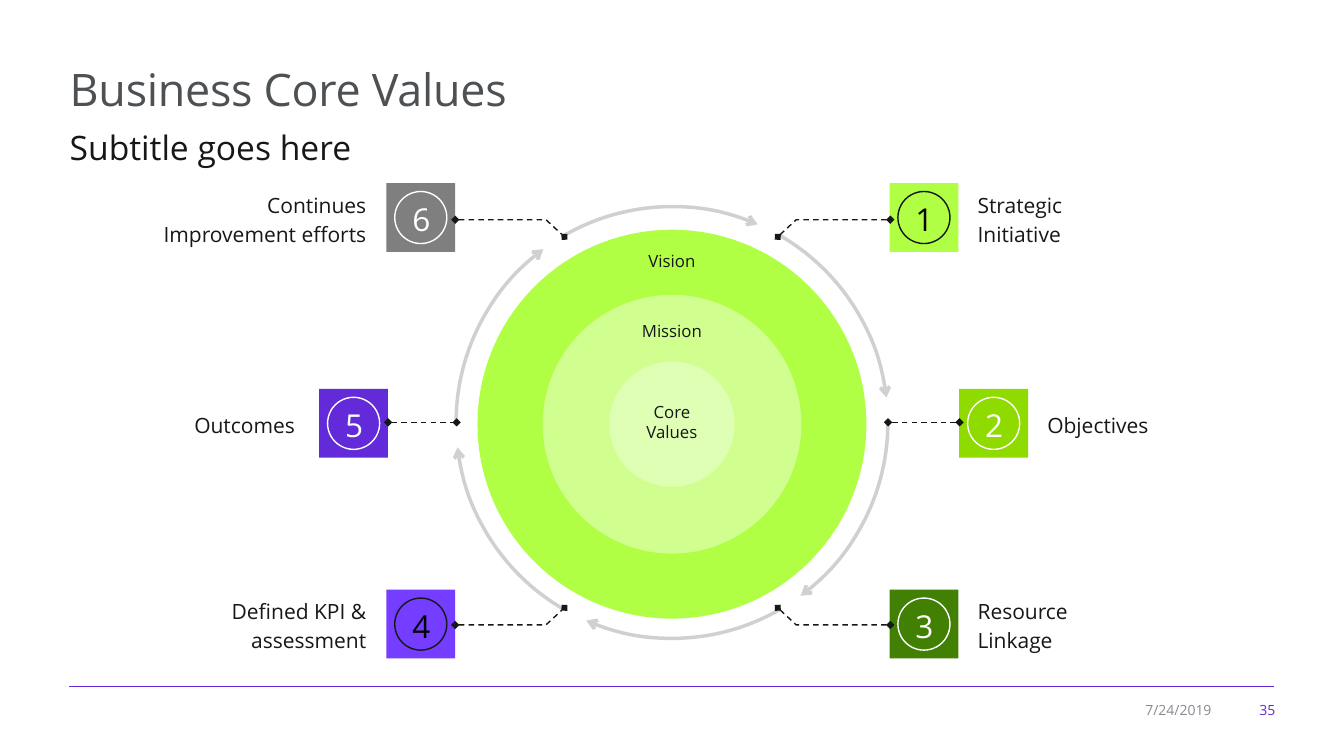
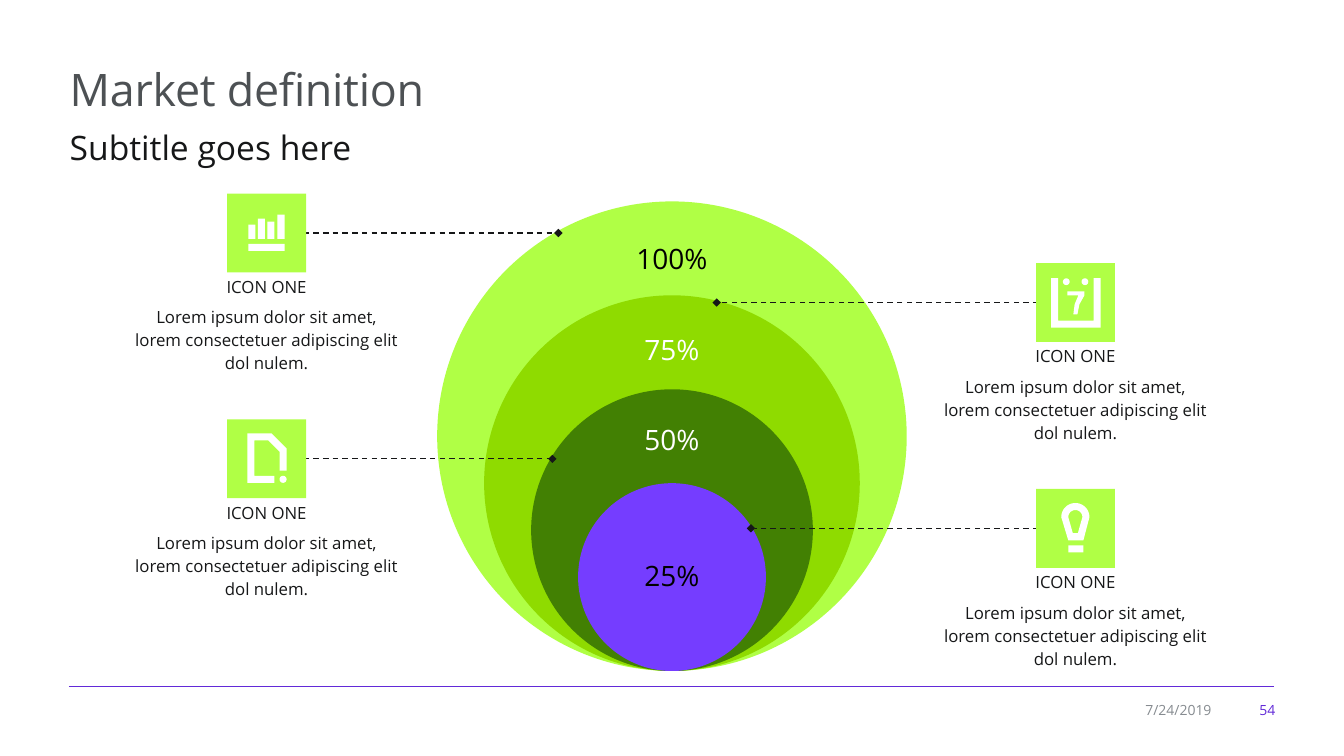
"""Build two circle-diagram slides on a square 160 by 90 grid."""
from dataclasses import dataclass
from math import cos, radians, sin

from lxml import etree
from pptx import Presentation
from pptx.dml.color import RGBColor
from pptx.enum.dml import MSO_LINE
from pptx.enum.shapes import MSO_CONNECTOR, MSO_SHAPE
from pptx.enum.text import MSO_ANCHOR, MSO_AUTO_SIZE, PP_ALIGN
from pptx.oxml.ns import qn
from pptx.util import Inches, Pt

COLS, ROWS = 160, 90
CELL = Inches(7.5) / ROWS
MID = COLS / 2
LEFT, CENTER, RIGHT = PP_ALIGN.LEFT, PP_ALIGN.CENTER, PP_ALIGN.RIGHT
TOP, MIDDLE = MSO_ANCHOR.TOP, MSO_ANCHOR.MIDDLE
RECT, ELLIPSE, ARC = MSO_SHAPE.RECTANGLE, MSO_SHAPE.OVAL, MSO_SHAPE.ARC
STRAIGHT, DASH, NO_FIT = MSO_CONNECTOR.STRAIGHT, MSO_LINE.DASH, MSO_AUTO_SIZE.NONE


@dataclass(frozen=True)
class Theme:
    """Colours, font and type sizes of the deck."""
    font: str = "Open Sans"
    ink: str = "161718"
    heading: str = "4D5154"
    muted: str = "868B90"
    black: str = "000000"
    white: str = "FFFFFF"
    grey: str = "7F7F7F"
    lime: str = "B0FF45"
    lime_soft: str = "D0FF8F"
    lime_pale: str = "DFFFB5"
    green: str = "8FDB00"
    forest: str = "428003"
    violet: str = "753DFF"
    purple: str = "622AD8"
    title: float = 32
    subtitle: float = 24
    number: float = 22.5
    percent: float = 20
    label: float = 15
    small: float = 12
    footer: float = 10


T = Theme()


def grid(*cells):
    """Turn grid cells into slide lengths."""
    return [round(c * CELL) for c in cells]


def arc_points(cx, cy, radius, start=0, end=360, steps=24):
    """List points along a circular arc."""
    angles = [radians(start + (end - start) * i / steps) for i in range(steps + 1)]
    return [(cx + radius * cos(a), cy + radius * sin(a)) for a in angles]


def box_points(x0, y0, x1, y1):
    """List the corners of a box."""
    return [(x0, y0), (x1, y0), (x1, y1), (x0, y1)]


class Deck:
    """Hold the presentation, its style and the current slide."""

    def __init__(self):
        """Open a presentation sized to the grid."""
        self.prs = Presentation()
        self.prs.slide_width, self.prs.slide_height = grid(COLS, ROWS)
        self.shapes = None

    def slide(self, title, subtitle, number, date):
        """Add a slide with heading, rule and footer."""
        s = self.prs.slides.add_slide(self.prs.slide_layouts[1])
        self.shapes = s.shapes
        head, body = s.placeholders
        self.place(head, 7.1, 6.7, 145.9, 7.9)
        r = self.set_text(head.text_frame, [title], T.title, T.heading)
        r.font._element.set("spc", "-20")
        self.place(body, 7.1, 13.7, 144.4, 6.5)
        p_pr = body.text_frame.paragraphs[0]._p.get_or_add_pPr()
        p_pr.set("marL", "0")
        p_pr.set("indent", "0")
        etree.SubElement(p_pr, qn("a:buNone"))
        self.set_text(body.text_frame, [subtitle], T.subtitle, T.ink, spacing=1.17)
        self.line([(8.2, 81.7), (151.7, 81.7)], T.purple, 0.75, dash=None)
        self.text(146.9, 83, 6.1, 3.1, [number], T.footer, T.purple, RIGHT, MIDDLE)
        self.text(134, 83, 11.4, 3.1, [date], T.footer, T.muted, RIGHT, MIDDLE)

    def place(self, sp, x, y, w, h):
        """Move a shape to grid cells."""
        sp.left, sp.top, sp.width, sp.height = grid(x, y, w, h)

    def set_text(self, tf, lines, size, color, align=LEFT, anchor=TOP, spacing=1.0):
        """Fill a text frame, one paragraph per line, and return the last run."""
        tf.word_wrap, tf.auto_size, tf.vertical_anchor = True, NO_FIT, anchor
        for i, line in enumerate(lines):
            p = tf.add_paragraph() if i else tf.paragraphs[0]
            p.alignment, p.line_spacing = align, spacing
            p.space_before = p.space_after = Pt(0)
            for j, part in enumerate(line.split("\n")):
                if j:
                    p.add_line_break()
                r = p.add_run()
                r.text = part
                r.font.name, r.font.size = T.font, Pt(size)
                r.font.color.rgb = RGBColor.from_string(color)
        return r

    def text(self, x, y, w, h, lines, size, color, align=LEFT, anchor=TOP, spacing=1.0):
        """Add a text box."""
        sp = self.shapes.add_textbox(*grid(x, y, w, h))
        self.set_text(sp.text_frame, lines, size, color, align, anchor, spacing)

    def paint(self, sp, fill=None, line=None, width=1):
        """Set fill and outline and drop the shadow."""
        sp.shadow.inherit = False
        if fill:
            sp.fill.solid()
            sp.fill.fore_color.rgb = RGBColor.from_string(fill)
        else:
            sp.fill.background()
        if line:
            self.stroke(sp, line, width)
        else:
            sp.line.fill.background()

    def stroke(self, sp, color, width, dash=None, head=None, tail=None, alpha=None):
        """Style a line with its ends and opacity."""
        sp.line.color.rgb = RGBColor.from_string(color)
        sp.line.width = Pt(width)
        if dash:
            sp.line.dash_style = dash
        ln = sp.element.spPr.find(qn("a:ln"))
        if alpha:
            srgb = ln.find(".//" + qn("a:srgbClr"))
            etree.SubElement(srgb, qn("a:alpha"), val=str(alpha * 1000))
        for tag, kind in (("a:headEnd", head), ("a:tailEnd", tail)):
            if kind:
                etree.SubElement(ln, qn(tag), type=kind)

    def shape(self, kind, cx, cy, size, fill=None, line=None):
        """Add a square-bounded shape around a centre."""
        sp = self.shapes.add_shape(kind, *grid(cx - size / 2, cy - size / 2, size, size))
        self.paint(sp, fill, line)
        return sp

    def arc(self, cx, cy, size, start, sweep):
        """Add a faint arc with an arrowhead."""
        sp = self.shape(ARC, cx, cy, size)
        for i, angle in enumerate((start, start + sweep)):
            sp.adjustments[i] = angle % 360 * 0.6
        self.stroke(sp, T.ink, 2.5, tail="arrow", alpha=20)

    def outline(self, contours, close=True):
        """Add a freeform of one or more contours."""
        first, *rest = [[tuple(grid(*pt)) for pt in c] for c in contours]
        builder = self.shapes.build_freeform(*first[0])
        builder.add_line_segments(first[1:], close=close)
        for contour in rest:
            builder.move_to(*contour[0])
            builder.add_line_segments(contour[1:], close=close)
        return builder.convert_to_shape()

    def line(self, points, color=T.ink, width=1, dash=DASH, head=None, tail=None):
        """Add a straight or bent line through points."""
        if len(points) == 2:
            sp = self.shapes.add_connector(STRAIGHT, *grid(*points[0], *points[1]))
            etree.SubElement(sp.element.spPr, qn("a:effectLst"))
        else:
            sp = self.outline([points], close=False)
            self.paint(sp)
        self.stroke(sp, color, width, dash, head, tail)

    def badge(self, number, cx, cy, fill, ink, ring):
        """Add a square with a ringed number."""
        self.shape(RECT, cx, cy, 8.2, fill)
        sp = self.shape(ELLIPSE, cx, cy, 6.2, line=ring)
        sp.text_frame.margin_top = grid(1)[0]
        self.set_text(sp.text_frame, [number], T.number, ink, CENTER, MIDDLE)

    def callout(self, cx, top, icon, target, heading, body):
        """Add an icon with text and a pointer to a ring."""
        size, width = 9.4, 35.6
        mid = top + size / 2
        edge = cx + (4.4 if target > cx else -4.4)
        self.line([(edge, mid), (target, mid)], tail="diamond")
        self.shape(RECT, cx, mid, size, T.lime)
        left = cx - size / 2
        sp = self.outline([[(left + x, top + y) for x, y in c] for c in icon])
        self.paint(sp, T.white)
        x = cx - width / 2
        self.text(x, top + 9.3, width, 3.6, [heading], T.small, T.ink, CENTER)
        self.text(x, top + 12.6, width, 9.5, [body], T.small, T.ink, CENTER, spacing=1.14)


BARS = [box_points(2.52, 6, 6.84, 6.84)] + [
    box_points(x, y, x + 0.84, 5.4)
    for x, y in ((2.52, 3.72), (3.66, 3), (4.8, 3.36), (6, 2.52))]
PAGE = [
    [(7.08, 3.48), (7.08, 6.12), (6.24, 6.12), (6.24, 3.84), (4.92, 2.52), (3.24, 2.52),
     (3.24, 6.72), (5.64, 6.72), (5.64, 7.56), (2.4, 7.56), (2.4, 1.68), (5.28, 1.68)],
    arc_points(6.66, 7.14, 0.42)]
CALENDAR = [
    [(7.68, 1.8), (7.68, 7.68), (1.8, 7.68), (1.8, 1.8), (2.64, 1.8), (2.64, 6.84),
     (6.84, 6.84), (6.84, 1.8)],
    arc_points(3.6, 2.22, 0.4), arc_points(5.82, 2.22, 0.4),
    [(4.92, 6.12), (5.16, 4.92), (5.76, 3.84), (5.76, 3.36), (3.72, 3.36),
     (3.72, 3.84), (5.04, 3.84), (4.6, 4.9), (4.44, 6.12)]]
BULB = [
    arc_points(4.68, 3.36, 1.68, 180, 360) + [(5.64, 6.12), (3.84, 6.12)],
    arc_points(4.68, 3.36, 0.84, 180, 360) + [(4.98, 5.28), (4.38, 5.28)],
    box_points(3.84, 6.72, 5.64, 7.56)]

SUBTITLE, DATE = "Subtitle goes here", "7/24/2019"
LOREM = "Lorem ipsum dolor sit amet,\nlorem consectetuer adipiscing elit dol nulem."
VALUES = [
    ("6", 50.1, 25.9, T.grey, T.white, T.white, 44.8, ["Continues", "Improvement efforts"]),
    ("5", 42.1, 50.4, T.purple, T.white, T.white, 36.3, ["Outcomes"]),
    ("4", 50.1, 74.3, T.violet, T.black, T.ink, 44.8, ["Defined KPI &", "assessment"]),
    ("1", 110, 25.9, T.lime, T.black, T.ink, 115.2, ["Strategic", "Initiative"]),
    ("2", 118.3, 50.4, T.green, T.white, T.white, 123.5, ["Objectives"]),
    ("3", 110, 74.3, T.forest, T.white, T.white, 115.2, ["Resource", "Linkage"]),
]
CORE = [(46.3, T.lime), (30.8, T.lime_soft), (14.9, T.lime_pale)]
CORE_LABELS = [("Vision", 31.1), ("Mission", 39.4), ("Core\nValues", 50.2)]
POINTERS = [
    [(54.2, 26.16), (65, 26.16), (67.2, 28.2)],
    [(46.2, 50.28), (54.36, 50.28)],
    [(54.2, 74.4), (65, 74.4), (67.2, 72.36)],
    [(106, 26.16), (94.8, 26.16), (92.6, 28.2)],
    [(114.24, 50.28), (105.72, 50.28)],
    [(106, 74.4), (94.8, 74.4), (92.6, 72.36)],
]
MARKETS = [
    ("100%", 1, 31, T.lime, T.black),
    ("75%", 0.8, 41.8, T.green, T.white),
    ("50%", 0.6, 52.6, T.forest, T.white),
    ("25%", 0.4, 68.7, T.violet, T.black),
]
CALLOUTS = [
    (31.74, 23.04, BARS, 66.48), (31.74, 49.92, PAGE, 65.76),
    (128.04, 31.32, CALENDAR, 85.32), (128.04, 58.2, BULB, 89.4),
]


def core_values(deck):
    """Build the core values slide."""
    deck.slide("Business Core Values", SUBTITLE, "35", DATE)
    for number, cx, cy, fill, ink, ring, edge, lines in VALUES:
        deck.badge(number, cx, cy, fill, ink, ring)
        x, align = (edge - 36, RIGHT) if cx < MID else (edge, LEFT)
        deck.text(x, cy - 4, 36, 8, lines, T.label, T.ink, align, MIDDLE, 1.14)
    for size, fill in CORE:
        deck.shape(ELLIPSE, MID, 50.5, size, fill)
    for label, row in CORE_LABELS:
        deck.text(MID - 6, row - 3, 12, 6, [label], T.small, T.ink, CENTER, MIDDLE)
    for start in range(0, 360, 60):
        deck.arc(MID, 50.3, 51.4, start, 53.4)
    for points in POINTERS:
        deck.line(points, head="diamond", tail="diamond")


def market_definition(deck):
    """Build the market definition slide."""
    deck.slide("Market definition", SUBTITLE, "54", DATE)
    for label, share, row, fill, ink in MARKETS:
        size = 55.9 * share
        deck.shape(ELLIPSE, MID, 79.88 - size / 2, size, fill)
        deck.text(MID - 8, row - 4, 16, 8, [label], T.percent, ink, CENTER, MIDDLE, 0.9)
    for cx, top, icon, target in CALLOUTS:
        deck.callout(cx, top, icon, target, "ICON ONE", LOREM)


def main():
    """Build and save the deck."""
    deck = Deck()
    core_values(deck)
    market_definition(deck)
    deck.prs.save("out.pptx")


if __name__ == "__main__":
    main()
